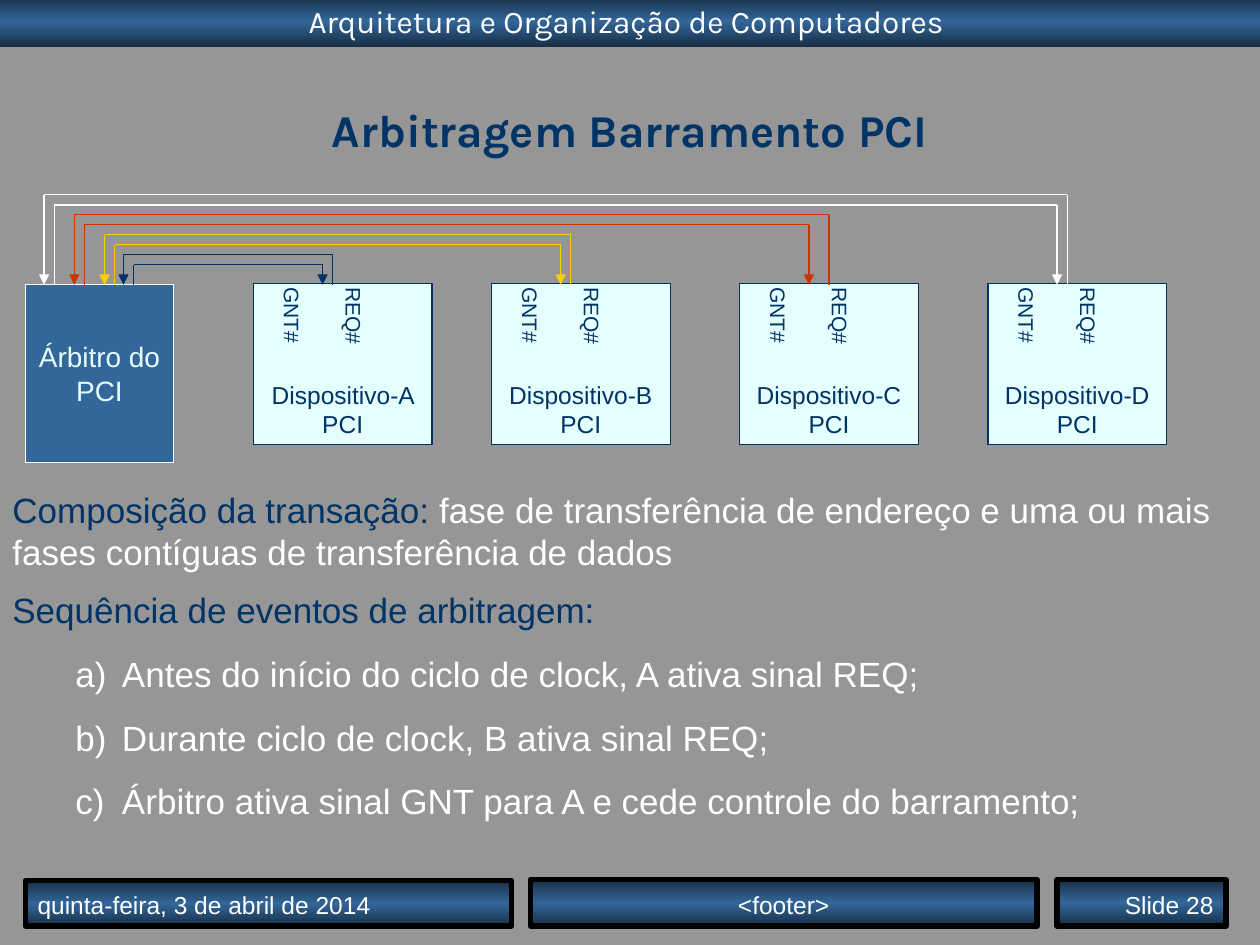
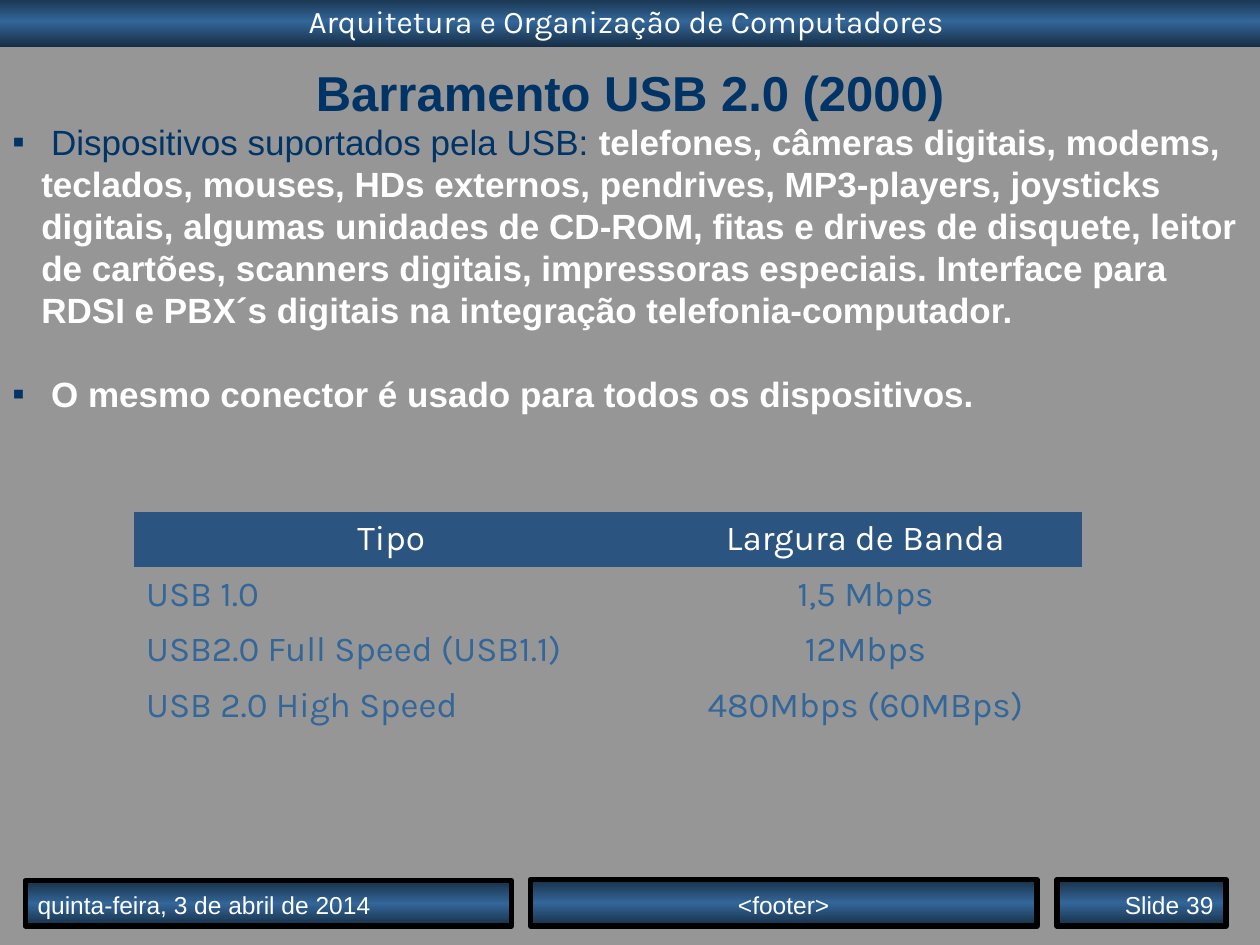
"""Builds two slides on PCI bus arbitration and USB 2.0."""
from copy import deepcopy

from pptx import Presentation
from pptx import util as u
from pptx.dml import color
from pptx.enum import shapes, text
from pptx.oxml import ns
from lxml import etree

NAVY, BLUE, DEEP, HEADER = "003366", "336699", "172F46", "2B5481"
WHITE, ICE, GRAY, BLACK = "FFFFFF", "E5FFFF", "969696", "000000"
YELLOW, RED = "FFCC00", "CC3300"
COLUMNS, ROWS = 100, 75
LEFT, CENTER, RIGHT = text.PP_ALIGN.LEFT, text.PP_ALIGN.CENTER, text.PP_ALIGN.RIGHT
TOP, MIDDLE, BOTTOM = text.MSO_ANCHOR.TOP, text.MSO_ANCHOR.MIDDLE, text.MSO_ANCHOR.BOTTOM
NO_TABLE_STYLE = "{2D5ABB26-0587-4C30-8999-92F81FD0307C}"


def rgb(value):
    """Turn a hex string into a colour."""
    return color.RGBColor.from_string(value)


def child(parent, tag, **attributes):
    """Append a DrawingML element to a parent."""
    return etree.SubElement(parent, ns.qn(tag), attributes)


class Deck:
    """Holds the shared style and the current slide."""

    def __init__(self):
        """Start a presentation of 10 by 7.5 inches."""
        self.presentation = Presentation()
        self.presentation.slide_width = u.Inches(10)
        self.presentation.slide_height = u.Inches(7.5)
        self.slide = None

    def grid(self, *lengths):
        """Turn alternating columns and rows into slide lengths."""
        units = (self.presentation.slide_width / COLUMNS,
                 self.presentation.slide_height / ROWS)
        return [u.Emu(round(length * units[index % 2])) for index, length in enumerate(lengths)]

    def new_slide(self, number):
        """Add a slide with the shared background, header band and footers."""
        self.slide = self.presentation.slides.add_slide(self.presentation.slide_layouts[6])
        self.slide.background.fill.solid()
        self.slide.background.fill.fore_color.rgb = rgb(GRAY)
        self.band((0, -0.3, 100, 4), "Arquitetura e Organização de Computadores ",
                  size=18, font="Karla", align=CENTER)
        footers = [((2, 69.9, 38.6, 3.6), "quinta-feira, 3 de abril de 2014", LEFT),
                   ((42.1, 69.8, 40.2, 3.7), "<footer>", CENTER),
                   ((83.9, 69.8, 13.4, 3.7), f"Slide {number}", RIGHT)]
        for place, words, align in footers:
            self.band(place, words, BOTTOM, BLACK, size=14, align=align)

    def box(self, place, fill=None, line=None, width=0.75, anchor=TOP):
        """Add a rectangle with a plain fill."""
        shape = self.slide.shapes.add_shape(shapes.MSO_SHAPE.RECTANGLE, *self.grid(*place))
        shape.shadow.inherit = False
        if fill:
            shape.fill.solid()
            shape.fill.fore_color.rgb = rgb(fill)
        if line:
            shape.line.color.rgb = rgb(line)
            shape.line.width = u.Pt(width)
        else:
            shape.line.fill.background()
        shape.text_frame.word_wrap = True
        shape.text_frame.vertical_anchor = anchor
        return shape

    def band(self, place, words, anchor=TOP, line=None, **style):
        """Add a rectangle with the dark-light-dark gradient and white text."""
        shape = self.box(place, line=line, width=3, anchor=anchor)
        shape.fill.gradient()
        shape.fill.gradient_angle = 90
        stops = shape.element.spPr.find(ns.qn("a:gradFill")).find(ns.qn("a:gsLst"))
        stops.append(deepcopy(stops[0]))
        for stop, shade, position in zip(shape.fill.gradient_stops, (DEEP, BLUE, DEEP), (0, 0.5, 1)):
            stop.color.rgb = rgb(shade)
            stop.position = position
        self.add_text(shape.text_frame, [(words, WHITE)], **style)

    def text_box(self, place):
        """Add a wrapping text box and give its text frame."""
        frame = self.slide.shapes.add_textbox(*self.grid(*place)).text_frame
        frame.word_wrap = True
        return frame

    def add_text(self, frame, runs, size=20, font="Arial", bold=False, align=LEFT,
                 before=0, spacing=None, indent=None, bullet=None):
        """Add a paragraph made of (words, colour, optional bold) runs."""
        paragraph = frame.paragraphs[0]
        if paragraph.runs:
            paragraph = frame.add_paragraph()
            paragraph.space_before = u.Pt(before)
        paragraph.alignment = align
        if spacing:
            paragraph.line_spacing = spacing
        if bullet:
            tag, attributes, shade = bullet
            properties = paragraph._p.get_or_add_pPr()
            margin, hanging = indent
            properties.set("marL", str(u.Inches(margin)))
            properties.set("indent", str(-u.Inches(hanging)))
            child(child(properties, "a:buClr"), "a:srgbClr", val=shade)
            child(properties, "a:buFont", typeface="Arial")
            child(properties, tag, **attributes)
        for words, shade, *heavy in runs:
            run = paragraph.add_run()
            run.text = words
            run.font.name = font
            run.font.size = u.Pt(size)
            run.font.bold = heavy[0] if heavy else bold
            run.font.color.rgb = rgb(shade)

    def vertical_label(self, place, words):
        """Add a small label that reads downwards."""
        frame = self.text_box(place)
        frame.margin_left = frame.margin_right = u.Inches(0.05)
        frame.margin_top = frame.margin_bottom = u.Inches(0.1)
        frame._txBody.bodyPr.set("vert", "eaVert")
        self.add_text(frame, [(words, NAVY)], size=12)

    def route(self, points, shade):
        """Join points by straight lines, with an arrowhead on the last."""
        for start, end in zip(points, points[1:]):
            connector = self.slide.shapes.add_connector(
                shapes.MSO_CONNECTOR.STRAIGHT, *self.grid(*start, *end))
            connector.line.color.rgb = rgb(shade)
            connector.line.width = u.Pt(0.75)
            if end == points[-1]:
                child(connector.line._get_or_add_ln(), "a:tailEnd", type="triangle")
            child(connector.element.spPr, "a:effectLst")

    def table(self, place, widths, rows):
        """Add a table with a dark header and clear body cells."""
        table = self.slide.shapes.add_table(len(rows), len(widths), *self.grid(*place)).table
        table.horz_banding = False
        table._tbl.tblPr.find(ns.qn("a:tableStyleId")).text = NO_TABLE_STYLE
        for column, width in zip(table.columns, widths):
            column.width = self.grid(width)[0]
        for row_index, row in enumerate(rows):
            for column_index, words in enumerate(row):
                cell = table.cell(row_index, column_index)
                cell.vertical_anchor = MIDDLE
                heading = row_index == 0
                if heading:
                    cell.fill.solid()
                    cell.fill.fore_color.rgb = rgb(HEADER)
                else:
                    cell.fill.background()
                self.add_text(cell.text_frame, [(words, WHITE if heading else BLUE)], font="Karla",
                              align=CENTER if heading or column_index else LEFT)


def arbitration_slide(deck):
    """Build the slide on PCI bus arbitration."""
    deck.new_slide(28)
    deck.add_text(deck.text_box((0, 7.6, 100, 5.4)), [("Arbitragem Barramento PCI", NAVY)],
                  size=26, font="Karla", bold=True, align=CENTER)
    arbiter = deck.box((2, 22.6, 11.8, 14.1), BLUE, WHITE, anchor=MIDDLE)
    deck.add_text(arbiter.text_frame, [("Árbitro do PCI", ICE)], size=16, align=CENTER)

    devices = [("A", 20.1, NAVY, 10.6, 0.8), ("B", 39, YELLOW, 9.1, 0.8),
               ("C", 58.7, RED, 6.7, 1.6), ("D", 78.4, WHITE, 4.3, 0.8)]
    for name, left, *_ in devices:
        device = deck.box((left, 22.5, 14.2, 12.8), ICE, NAVY, anchor=BOTTOM)
        deck.add_text(device.text_frame, [(f"Dispositivo-{name} PCI", NAVY)], size=14, align=CENTER)
        for signal, offset in (("GNT#", 0.6), ("REQ#", 5.5)):
            deck.vertical_label((left + offset, 21.8, 4, 7.1), signal)

    base = 22.6
    for index, (_, left, shade, arbiter_x, gap) in enumerate(devices):
        grant_x, grant_y = left + 5.5, 21 - 1.58 * index
        request_x, request_y = grant_x + gap, grant_y - 0.8
        deck.route([(arbiter_x, base), (arbiter_x, grant_y),
                    (grant_x, grant_y), (grant_x, base)], shade)
        deck.route([(request_x, base), (request_x, request_y),
                    (arbiter_x - 0.8, request_y), (arbiter_x - 0.8, base)], shade)

    deck.add_text(deck.text_box((0, 38.3, 100, 7.7)), [
        ("Composição da transação:", NAVY),
        (" fase de transferência de endereço e uma ou mais fases contíguas"
         " de transferência de dados", WHITE)])
    events = deck.text_box((0, 46.2, 100, 19.6))
    deck.add_text(events, [("Sequência de eventos de arbitragem:", NAVY)])
    for event in ("Antes do início do ciclo de clock, A ativa sinal REQ;",
                  "Durante ciclo de clock, B ativa sinal REQ;",
                  "Árbitro ativa sinal GNT para A e cede controle do barramento;"):
        deck.add_text(events, [(event, WHITE)], before=12.5, indent=(0.87, 0.37),
                      bullet=("a:buAutoNum", {"type": "alphaLcParenR"}, WHITE))


def usb_slide(deck):
    """Build the slide on USB 2.0."""
    deck.new_slide(39)
    square = {"indent": (0.23, 0.23), "bullet": ("a:buChar", {"char": "▪"}, NAVY)}
    body = deck.text_box((0, 9.1, 100, 24.4))
    deck.add_text(body, [
        (" Dispositivos suportados pela USB: ", NAVY),
        ("telefones, câmeras digitais, modems, teclados, mouses, HDs externos, pendrives, "
         "MP3-players, joysticks digitais, algumas unidades de CD-ROM, fitas e drives de "
         "disquete, leitor de cartões, scanners digitais, impressoras especiais. Interface "
         "para RDSI e PBX´s digitais na integração telefonia-computador.", WHITE, True)], **square)
    deck.add_text(body, [(" O mesmo conector é usado para todos os dispositivos.", WHITE, True)],
                  before=24, **square)
    deck.add_text(deck.text_box((0, 6.1, 100, 3.8)), [("Barramento USB 2.0 (2000)", NAVY)],
                  size=28, bold=True, align=CENTER, spacing=0.6)
    deck.table((10.6, 40.6, 75.3, 17.6), (40.9, 34.4), [
        ("Tipo", "Largura de Banda"),
        ("USB 1.0", "1,5 Mbps"),
        ("USB2.0 Full Speed (USB1.1)", "12Mbps"),
        ("USB 2.0 High Speed", "480Mbps (60MBps)")])


def main():
    """Build and save the slides."""
    deck = Deck()
    arbitration_slide(deck)
    usb_slide(deck)
    deck.presentation.save("out.pptx")


if __name__ == "__main__":
    main()
